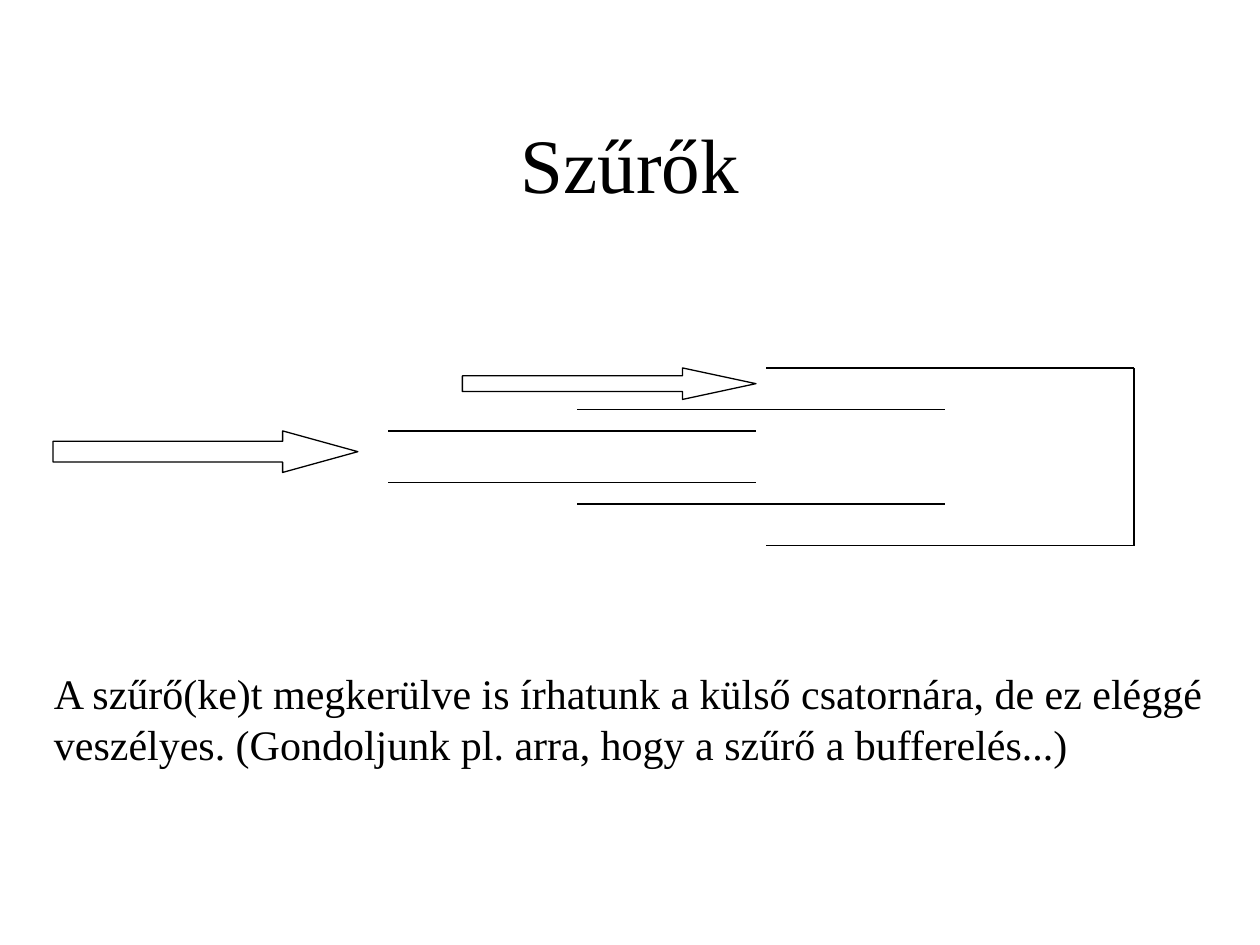
from pptx import Presentation
from pptx.dml.color import RGBColor
from pptx.enum import shapes, text
from pptx.oxml.ns import qn
from pptx.util import Inches, Pt
from lxml import etree

BLACK = "000000"


def color(code):
    return RGBColor.from_string(code)


def style(par, size):
    """Format every run of a paragraph in the slide's font."""
    for run in par.runs:
        run.font.name = "Times New Roman"
        run.font.size = Pt(size)
        run.font.color.rgb = color(BLACK)


prs = Presentation()
prs.slide_width, prs.slide_height = Inches(10), Inches(7.5)
slide = prs.slides.add_slide(prs.slide_layouts[5])

title = slide.shapes.title
title.left, title.top = Inches(0.75), Inches(0.67)
title.width, title.height = Inches(8.5), Inches(1.25)
frame = title.text_frame
frame.text = "Szűrők"
frame.vertical_anchor = text.MSO_ANCHOR.MIDDLE
frame.paragraphs[0].alignment = text.PP_ALIGN.CENTER
style(frame.paragraphs[0], 44)

# Nested channels: two filters, then the outer channel with its closed end
lines = []
for left, top, bottom in [(3.08, 3.42, 3.83), (4.58, 3.25, 4), (6.08, 2.92, 4.33)]:
    right = left + 2.92
    lines += [(left, top, right, top), (left, bottom, right, bottom)]
lines.append((right, top, right, bottom))

for ends in lines:
    line = slide.shapes.add_connector(
        shapes.MSO_CONNECTOR.STRAIGHT, *[Inches(end) for end in ends])
    line.line.color.rgb = color(BLACK)
    line.line.width = Pt(0.75)
    etree.SubElement(line._element.spPr, qn("a:effectLst"))

# Writing through the filters, and writing past them
for left, top, width, height, head in [
    (0.42, 3.42, 2.42, 0.33, 1.81),
    (3.67, 2.92, 2.33, 0.25, 2.33),
]:
    arrow = slide.shapes.add_shape(
        shapes.MSO_SHAPE.RIGHT_ARROW,
        Inches(left), Inches(top), Inches(width), Inches(height))
    arrow.adjustments[0], arrow.adjustments[1] = 0.5, head
    arrow.fill.background()
    arrow.line.color.rgb = color(BLACK)
    arrow.line.width = Pt(0.75)
    arrow.shadow.inherit = False

note = slide.shapes.add_textbox(Inches(0.33), Inches(5.25), Inches(9.42), Inches(0.9))
frame = note.text_frame
frame.word_wrap = True
frame.text = ("A szűrő(ke)t megkerülve is írhatunk a külső csatornára, de ez eléggé "
              "veszélyes. (Gondoljunk pl. arra, hogy a szűrő a bufferelés...)")
style(frame.paragraphs[0], 24)

prs.save("out.pptx")
